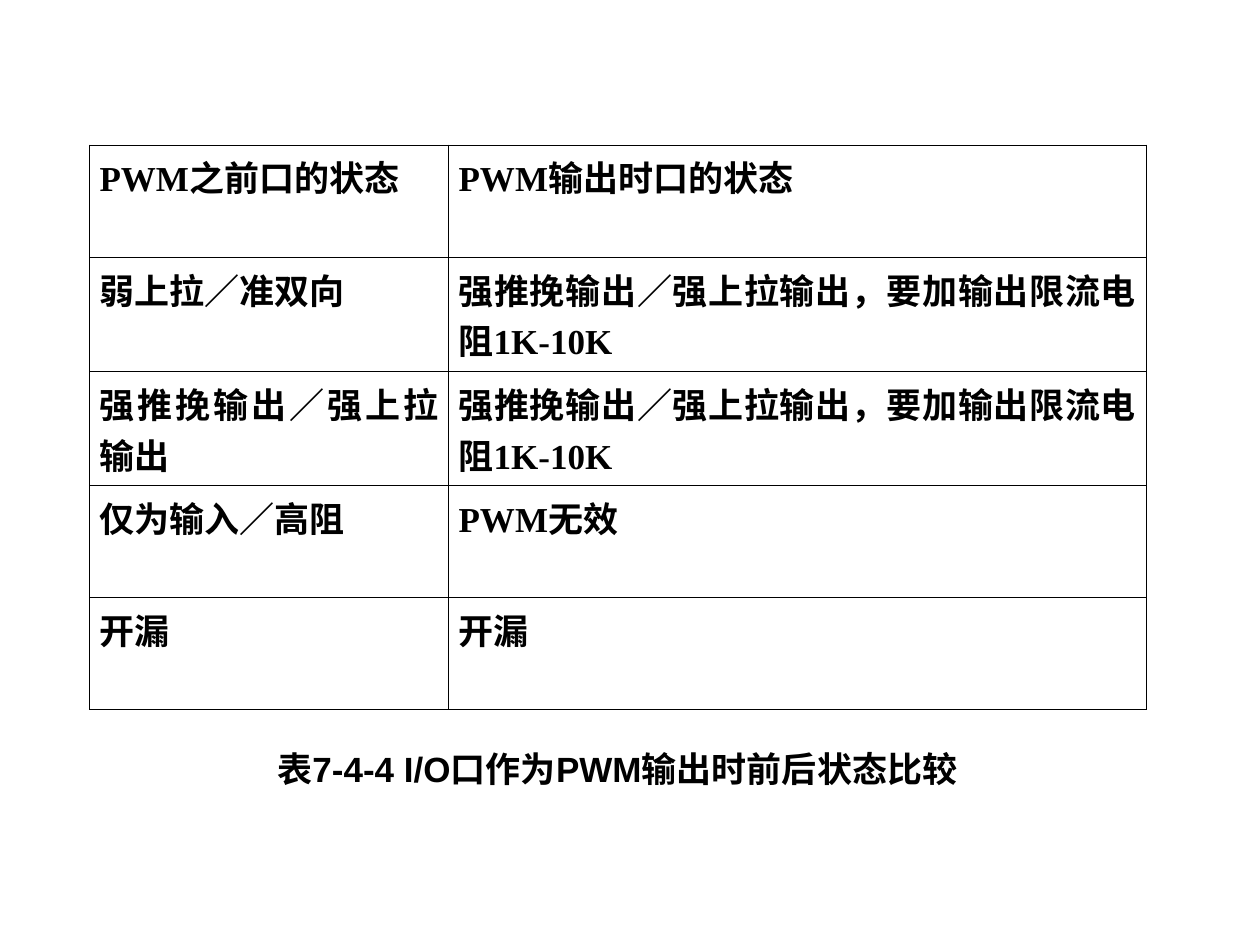
"""Build a slide with a table of port states before and during PWM output."""
from lxml import etree
from pptx import Presentation
from pptx.dml.color import RGBColor
from pptx.enum import text as enum_text
from pptx.oxml import ns
from pptx.util import Inches, Pt

BLACK = "000000"
LIMITED = "强推挽输出／强上拉输出，要加输出限流电阻1K-10K"
ROWS = [
    ("PWM之前口的状态", "PWM输出时口的状态"),
    ("弱上拉／准双向", LIMITED),
    ("强推挽输出／强上拉输出", LIMITED),
    ("仅为输入／高阻", "PWM无效"),
    ("开漏", "开漏"),
]
COLUMN_WIDTHS = [2.85, 5.54]
ROW_HEIGHTS = [0.89, 0.85, 0.89, 0.89, 0.89]


def write_text(frame, content, font_name, alignment):
    paragraph = frame.paragraphs[0]
    paragraph.alignment = alignment
    run = paragraph.add_run()
    run.text = content
    for name, value in {"name": font_name, "size": Pt(20), "bold": True}.items():
        setattr(run.font, name, value)
    run.font.color.rgb = RGBColor.from_string(BLACK)


def add_borders(cell):
    properties = cell._tc.get_or_add_tcPr()
    for position, side in enumerate(("lnL", "lnR", "lnT", "lnB")):
        line = etree.Element(ns.qn(f"a:{side}"), w=str(Pt(0.45)))
        fill = etree.SubElement(line, ns.qn("a:solidFill"))
        etree.SubElement(fill, ns.qn("a:srgbClr"), val=BLACK)
        properties.insert(position, line)


presentation = Presentation()
presentation.slide_width = Inches(10)
presentation.slide_height = Inches(7.5)
slide = presentation.slides.add_slide(presentation.slide_layouts[6])

table = slide.shapes.add_table(
    len(ROWS), len(COLUMN_WIDTHS), Inches(0.71), Inches(1.15),
    Inches(sum(COLUMN_WIDTHS)), Inches(sum(ROW_HEIGHTS)),
).table
table.first_row = False
table.horz_banding = False
for column, width in zip(table.columns, COLUMN_WIDTHS):
    column.width = Inches(width)
for row, height, contents in zip(table.rows, ROW_HEIGHTS, ROWS):
    row.height = Inches(height)
    for cell, content in zip(row.cells, contents):
        cell.fill.background()
        cell.margin_left = cell.margin_right = Inches(0.08)
        add_borders(cell)
        write_text(cell.text_frame, content, "Times New Roman", enum_text.PP_ALIGN.JUSTIFY)

caption = slide.shapes.add_textbox(Inches(1.85), Inches(5.88), Inches(6.1), Inches(0.44))
caption.text_frame.word_wrap = True
caption.text_frame.auto_size = enum_text.MSO_AUTO_SIZE.SHAPE_TO_FIT_TEXT
write_text(caption.text_frame, "表7-4-4 I/O口作为PWM输出时前后状态比较", "Arial", enum_text.PP_ALIGN.CENTER)

presentation.save("out.pptx")
